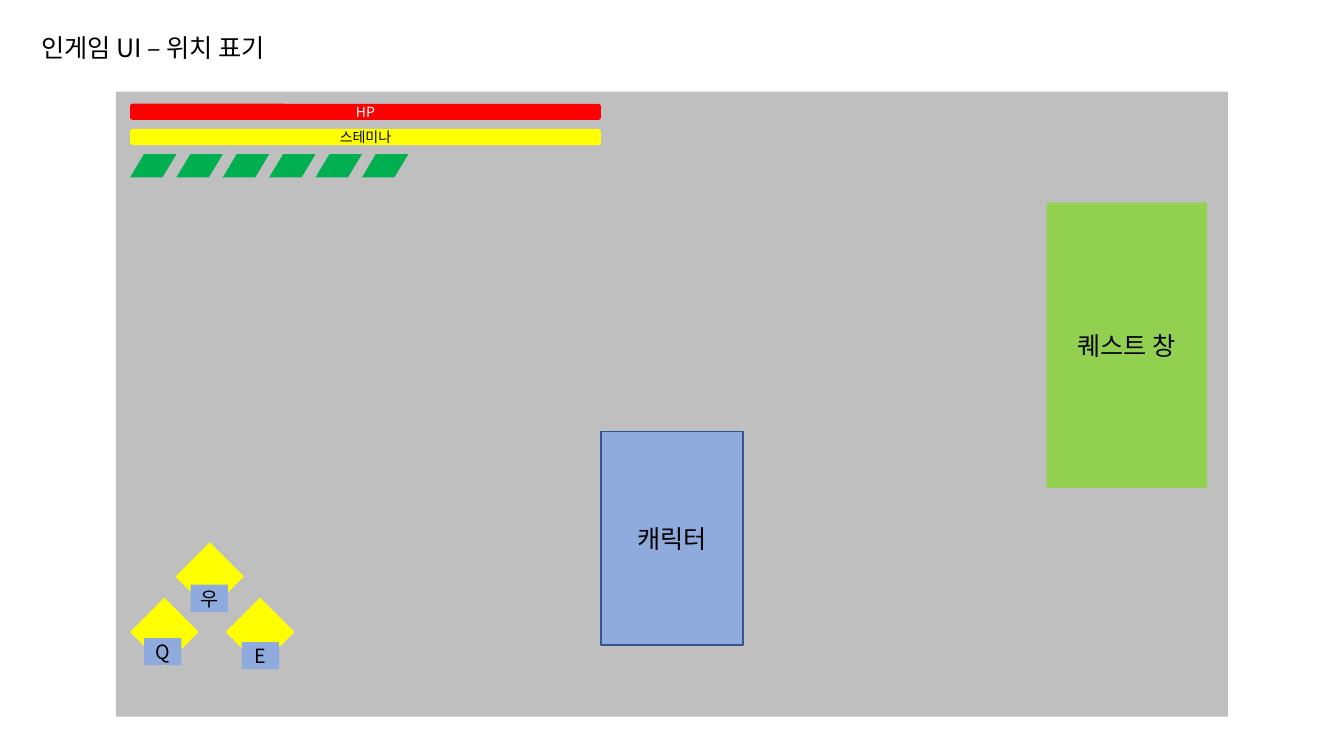
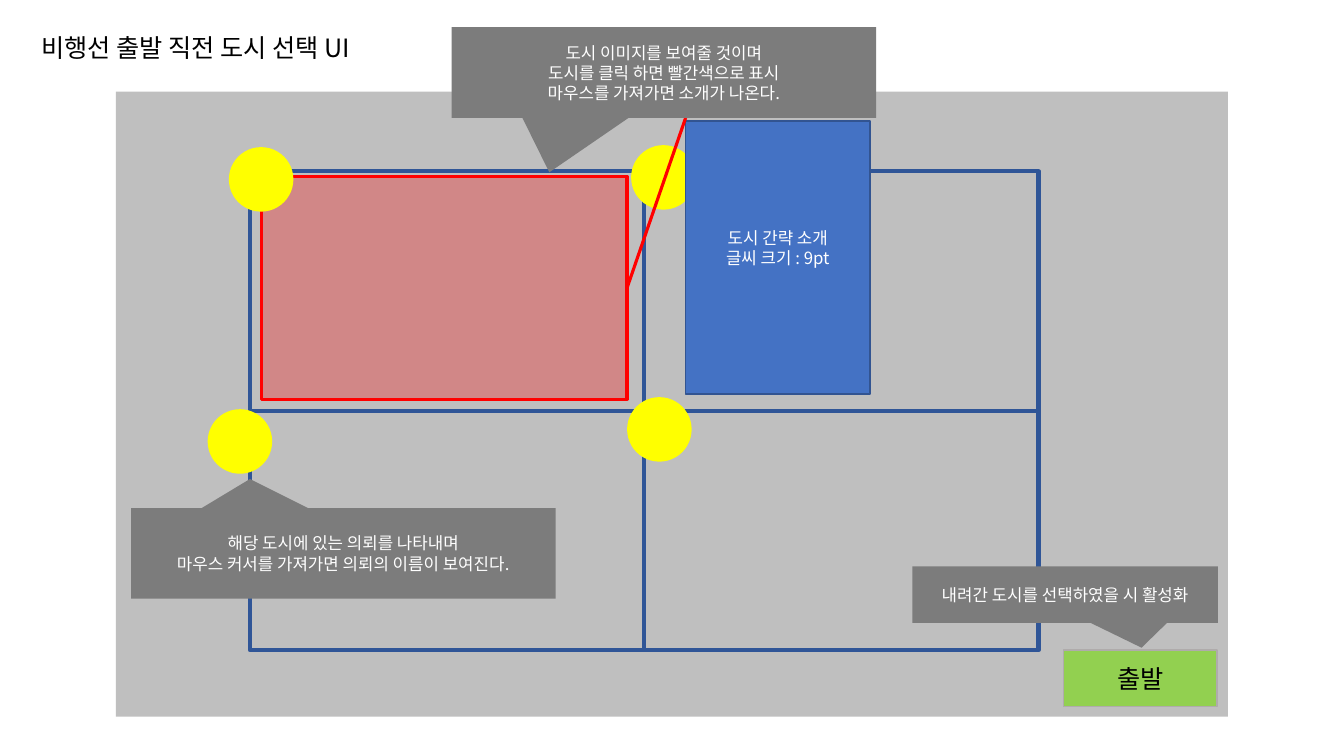
from typing import NamedTuple

from pptx import Presentation
from pptx.dml.color import RGBColor
from pptx.enum import shapes, text
from pptx.oxml.ns import qn
from pptx.util import Emu, Pt
from lxml import etree

PX = 9144  # 100 px to the inch
KIND = shapes.MSO_SHAPE


class Look(NamedTuple):
    fill: str = None
    line: str = None
    width: float = 1
    ink: str = "000000"
    size: int = 18
    alpha: int = 100


class Theme:
    font = "Noto Sans CJK KR"
    size = (1333, 750)
    title = Look()
    panel = Look("BFBFBF")
    hero = Look("8FAADC", "325491")
    hp = Look("FF0000", ink="FFFFFF", size=10)
    stamina = Look("FFFF00", size=10)
    spot = Look("FFFF00")
    key = Look("8FAADC", size=14)
    gem = Look("00B050")
    quest = Look("92D050")
    start = Look("92D050", "AFABAB")
    grid = Look(line="2F5597", width=3)
    picked = Look("FF0000", "FF0000", 2.25, alpha=29)
    intro = Look("4472C4", "325491", ink="FFFFFF", size=12)
    note = Look("7C7C7C", ink="FFFFFF", size=12)


PANEL = (115, 91, 1103, 620)
TITLES = [("인게임 UI – 위치 표기", 270), ("비행선 출발 직전 도시 선택 UI", 367)]

# Slide 1: play screen
HERO = (596, 428, 141, 212)
QUEST = (1038, 201, 159, 283)
BARS = [("HP", Theme.hp), ("스테미나", Theme.stamina)]
BAR = (129, 103, 467, 16)
BAR_STEP = 25
GEM = (129, 153, 46, 23)
GEMS = 6
SKILLS = [(184, 548), (139, 603), (234, 603)]
SKILL = 48
KEYS = [("우", 189, 580), ("Q", 143, 633), ("E", 240, 637)]
KEY = (37, 27)

# Slide 2: city choice
CITIES = (248, 170, 782, 475)
PICKED = (259, 175, 363, 221)
INTRO = (680, 120, 183, 271)
INTRO_TEXT = ["도시 간략 소개", "글씨 크기 : 9pt"]
DOT = 64
DOTS = [(227, 146), (206, 406), (626, 144)]
FRONT_DOT = (622, 394)
START = (1055, 645, 152, 56)
NOTES = [
    ((448, 27, 421, 90), (-0.27, 1.1),
     ["도시 이미지를 보여줄 것이며", "도시를 클릭 하면 빨간색으로 표시",
      "마우스를 가져가면 소개가 나온다."]),
    ((130, 504, 421, 90), (-0.22, -0.82),
     ["해당 도시에 있는 의뢰를 나타내며",
      "마우스 커서를 가져가면 의뢰의 이름이 보여진다."]),
    ((905, 562, 303, 56), (0.25, 0.94), ["내려간 도시를 선택하였을 시 활성화"]),
]


def emu(vals):
    return [Emu(round(v * PX)) for v in vals]


def rgb(code):
    return RGBColor.from_string(code)


def write(frame, lines, look, align):
    frame.text = "\n".join(lines)
    for par in frame.paragraphs:
        par.alignment = align
        for run in par.runs:
            font = run.font
            font.name, font.size = Theme.font, Pt(look.size)
            font.color.rgb = rgb(look.ink)
            east = etree.SubElement(run._r.get_or_add_rPr(), qn("a:ea"))
            east.set("typeface", Theme.font)


def draw(slide, kind, box, look, lines=(), adj=(), low=0):
    """Add a shape; low is the bottom inset of its text."""
    part = slide.shapes.add_shape(kind, *emu(box))
    part.shadow.inherit = False
    for i, val in enumerate(adj):
        part.adjustments[i] = val
    if look.fill:
        part.fill.solid()
        part.fill.fore_color.rgb = rgb(look.fill)
        if look.alpha < 100:
            tint = part.fill._xPr.find(".//" + qn("a:srgbClr"))
            etree.SubElement(tint, qn("a:alpha")).set("val", str(look.alpha * 1000))
    else:
        part.fill.background()
    if look.line:
        part.line.color.rgb = rgb(look.line)
        part.line.width = Pt(look.width)
    else:
        part.line.fill.background()
    if lines:
        frame = part.text_frame
        frame.margin_left = frame.margin_right = frame.margin_top = 0
        frame.margin_bottom = Emu(low * PX)
        frame.vertical_anchor = text.MSO_ANCHOR.MIDDLE
        write(frame, lines, look, text.PP_ALIGN.CENTER)
    return part


def join(slide, start, end, look):
    line = slide.shapes.add_connector(
        shapes.MSO_CONNECTOR.STRAIGHT, *emu(start + end))
    line.line.color.rgb = rgb(look.line)
    line.line.width = Pt(look.width)
    etree.SubElement(line._element.spPr, qn("a:effectLst"))


def begin(deck, title, width):
    """Add a slide with the shared panel and title."""
    slide = deck.slides.add_slide(deck.slide_layouts[6])
    draw(slide, KIND.RECTANGLE, PANEL, Theme.panel)
    frame = slide.shapes.add_textbox(*emu((31, 27, width, 40))).text_frame
    frame.word_wrap = False
    frame.auto_size = text.MSO_AUTO_SIZE.SHAPE_TO_FIT_TEXT
    write(frame, [title], Theme.title, text.PP_ALIGN.LEFT)
    return slide


def play(slide):
    draw(slide, KIND.RECTANGLE, HERO, Theme.hero, ["캐릭터"])
    x, y, w, h = BAR
    for i, (name, look) in enumerate(BARS):
        box = (x, y + i * BAR_STEP, w, h)
        draw(slide, KIND.ROUNDED_RECTANGLE, box, look, [name])
    for spot in SKILLS:
        draw(slide, KIND.RECTANGLE, spot + (SKILL, SKILL), Theme.spot).rotation = 45
    for name, x, y in KEYS:
        draw(slide, KIND.RECTANGLE, (x, y) + KEY, Theme.key, [name])
    x, y, w, h = GEM
    for i in range(GEMS):
        draw(slide, KIND.PARALLELOGRAM, (x + i * w, y, w, h), Theme.gem, adj=[0.6])
    draw(slide, KIND.RECTANGLE, QUEST, Theme.quest, ["퀘스트 창"])


def choose(slide):
    draw(slide, KIND.RECTANGLE, START, Theme.start, ["출발"])
    x, y, w, h = CITIES
    join(slide, (x + w / 2, y), (x + w / 2, y + h), Theme.grid)
    join(slide, (x, y + h / 2), (x + w, y + h / 2), Theme.grid)
    draw(slide, KIND.RECTANGLE, CITIES, Theme.grid)
    draw(slide, KIND.RECTANGLE, PICKED, Theme.picked)
    for dot in DOTS:
        draw(slide, KIND.OVAL, dot + (DOT, DOT), Theme.spot)
    draw(slide, KIND.RECTANGLE, INTRO, Theme.intro, INTRO_TEXT, low=20)
    x, y, w, h = PICKED
    join(slide, (x + w, y + h / 2), (INTRO[0], INTRO[1] - 3), Theme.picked)
    draw(slide, KIND.OVAL, FRONT_DOT + (DOT, DOT), Theme.spot)
    for box, tip, lines in NOTES:
        draw(slide, KIND.RECTANGULAR_CALLOUT, box, Theme.note, lines, tip)


def main():
    deck = Presentation()
    deck.slide_width, deck.slide_height = emu(Theme.size)
    for (title, width), fill in zip(TITLES, (play, choose)):
        fill(begin(deck, title, width))
    deck.save("out.pptx")


if __name__ == "__main__":
    main()
